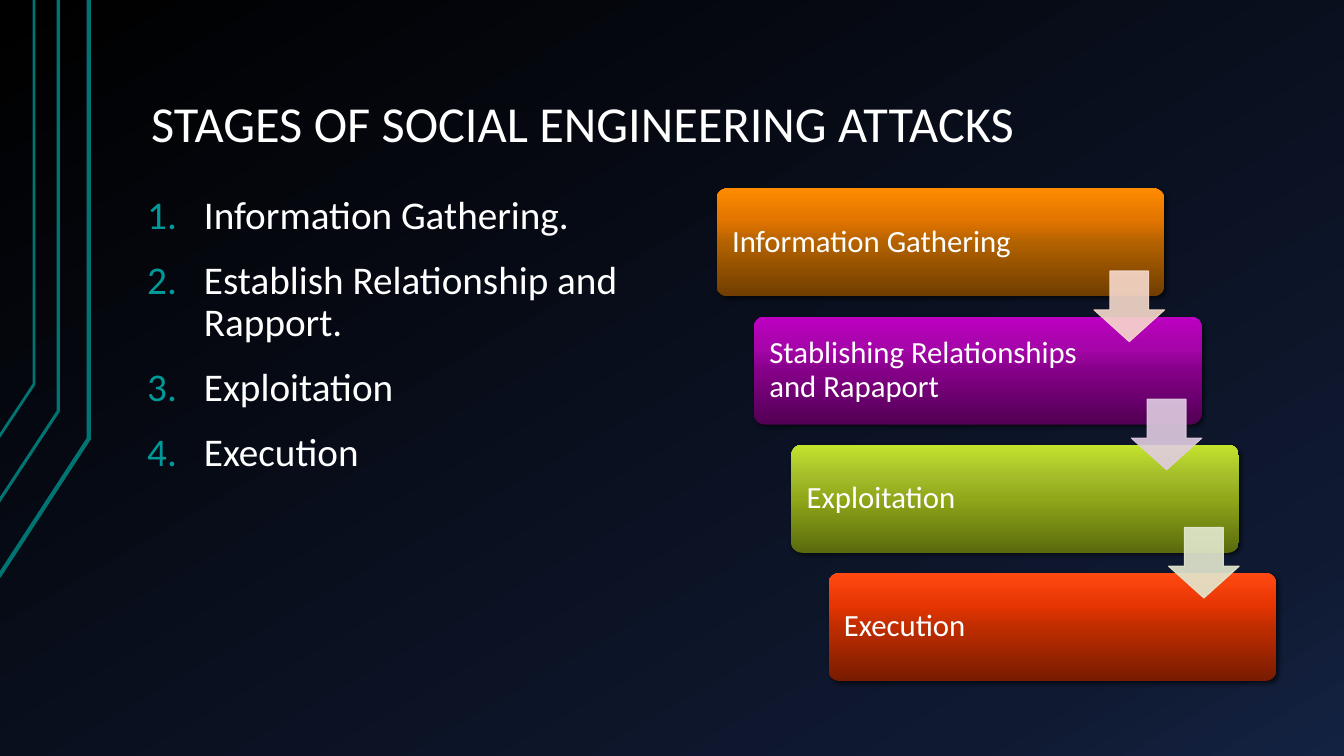
from dataclasses import dataclass
from lxml import etree
from pptx import Presentation
from pptx.dml.color import RGBColor
from pptx.enum import shapes, text
from pptx.oxml import ns
from pptx.util import Cm, Pt


@dataclass(frozen=True)
class Theme:
    font: str = "Calibri"
    ink: str = "FFFFFF"
    trace: str = "007373"
    number: str = "009999"
    shade: str = "000000"
    title: int = 36
    body: int = 28
    label: int = 22
    back: tuple = ((0, "000000"), (85, "0F1931"), (100, "142242"))


@dataclass(frozen=True)
class Stage:
    label: str
    tones: tuple
    arrow: str = ""


@dataclass(frozen=True)
class Trace:
    points: tuple
    width: float


THEME = Theme()
TITLE = "STAGES OF SOCIAL ENGINEERING ATTACKS"
ITEMS = ("Information Gathering.", "Establish Relationship and Rapport.",
         "Exploitation", "Execution")
STOPS = (0, 50, 70, 100)
STAGES = (
    Stage("Information Gathering", ("6F3D00", "B36200", "E27400", "FE8B00"), "F7DACC"),
    Stage("Stablishing Relationships and Rapaport",
          ("520054", "850088", "A505A9", "BC00C0"), "E0CCE1"),
    Stage("Exploitation", ("5A6A0D", "8FA719", "A3BC2A", "C4E32D"), "E3E9D0"),
    Stage("Execution", ("771C00", "C02D00", "E63503", "FF4911")),
)
TRACES = (
    Trace(((-0.03, 14.53), (2.24, 11.05), (2.24, 0)), 3),
    Trace(((-0.05, 12.67), (1.47, 10.36), (1.47, 0)), 2.25),
    Trace(((-0.03, 11.02), (0.86, 9.68), (0.86, 0)), 2),
)
STEP_X, STEP_Y = 0.94, 3.23


def node(parent, tag: str, **attrs):
    return etree.SubElement(parent, ns.qn(tag), attrs)


def tint(parent, color: str, alpha: int) -> None:
    """Append a translucent colour to an XML parent."""
    node(node(parent, "a:srgbClr", val=color), "a:alpha", val=str(alpha * 1000))


def grade(fill, root, stops, angle: int) -> None:
    """Give the fill under root a gradient, its angle counted anticlockwise."""
    fill.gradient()
    fill.gradient_angle = angle
    group = next(root.iter(ns.qn("a:gsLst")))
    for old in list(group):
        group.remove(old)
    for place, color in stops:
        stop = node(group, "a:gs", pos=str(place * 1000))
        node(stop, "a:srgbClr", val=color)


def style(frame, size: int, anchor, pad_x: float, pad_y: float) -> None:
    frame.word_wrap = True
    frame.auto_size = text.MSO_AUTO_SIZE.NONE
    frame.vertical_anchor = anchor
    frame.margin_left = frame.margin_right = Cm(pad_x)
    frame.margin_top = frame.margin_bottom = Cm(pad_y)
    for para in frame.paragraphs:
        para.alignment = text.PP_ALIGN.LEFT
        para.line_spacing = 0.9
        for run in para.runs:
            run.font.name = THEME.font
            run.font.size = Pt(size)
            run.font.color.rgb = RGBColor.from_string(THEME.ink)


def place(shape, left: float, top: float, width: float, height: float) -> None:
    shape.left, shape.top = Cm(left), Cm(top)
    shape.width, shape.height = Cm(width), Cm(height)


def count(para) -> None:
    """Number the paragraph, with a hanging indent."""
    para.space_before = Pt(16)
    props = para._p.get_or_add_pPr()
    props.set("marL", str(Cm(1.43)))
    props.set("indent", str(Cm(-1.43)))
    node(node(props, "a:buClr"), "a:srgbClr", val=THEME.number)
    node(props, "a:buFont", typeface="+mj-lt")
    node(props, "a:buAutoNum", type="arabicPeriod")


def draw_trace(slide, trace: Trace) -> None:
    start, *rest = [(Cm(x), Cm(y)) for x, y in trace.points]
    pen = slide.shapes.build_freeform(*start)
    pen.add_line_segments(rest, close=False)
    shape = pen.convert_to_shape()
    shape.shadow.inherit = False
    shape.fill.background()
    shape.line.color.rgb = RGBColor.from_string(THEME.trace)
    shape.line.width = Pt(trace.width)


def draw_card(slide, stage: Stage, row: int) -> None:
    card = slide.shapes.add_shape(
        shapes.MSO_SHAPE.ROUNDED_RECTANGLE, Cm(18.06 + row * STEP_X),
        Cm(4.75 + row * STEP_Y), Cm(11.28), Cm(2.72))
    card.adjustments[0] = 0.1
    grade(card.fill, card._element.spPr, zip(STOPS, stage.tones), 90)
    card.line.fill.background()
    card.shadow.inherit = False
    effects = card._element.spPr.find(ns.qn("a:effectLst"))
    glow = node(effects, "a:outerShdw", blurRad=str(Pt(3)), dist=str(Pt(2)),
                dir=str(45 * 60000), rotWithShape="0")
    tint(glow, THEME.shade, 60)
    frame = card.text_frame
    frame.text = stage.label
    style(frame, THEME.label, text.MSO_ANCHOR.MIDDLE, 0.31, 0.31)
    frame.margin_right = Cm(2.9)


def draw_arrow(slide, color: str, row: int) -> None:
    arrow = slide.shapes.add_shape(
        shapes.MSO_SHAPE.DOWN_ARROW, Cm(27.57 + row * STEP_X),
        Cm(6.83 + row * STEP_Y), Cm(1.78), Cm(1.78))
    arrow.adjustments[0], arrow.adjustments[1] = 0.55, 0.45
    arrow.shadow.inherit = False
    arrow.line.width = Pt(0.75)
    for fill in (arrow.fill, arrow.line.fill):
        fill.solid()
        fill.fore_color.rgb = RGBColor.from_string(color)
    for solid in arrow._element.spPr.iter(ns.qn("a:solidFill")):
        solid.clear()
        tint(solid, color, 90)


def main() -> None:
    deck = Presentation()
    deck.slide_width, deck.slide_height = Cm(33.87), Cm(19.05)
    slide = deck.slides.add_slide(deck.slide_layouts[1])
    grade(slide.background.fill, slide._element, THEME.back, 300)

    for trace in TRACES:
        draw_trace(slide, trace)

    title, body = slide.placeholders
    place(title, 3.48, 0.64, 28.78, 3.4)
    title.text_frame.text = TITLE
    style(title.text_frame, THEME.title, text.MSO_ANCHOR.BOTTOM, 0.33, 0.18)

    place(body, 3.38, 4.75, 14.1, 12.4)
    body.text_frame.text = "\n".join(ITEMS)
    style(body.text_frame, THEME.body, text.MSO_ANCHOR.TOP, 0.33, 0.18)
    for para in body.text_frame.paragraphs:
        count(para)

    for row, stage in enumerate(STAGES):
        draw_card(slide, stage, row)
    for row, stage in enumerate(STAGES):
        if stage.arrow:
            draw_arrow(slide, stage.arrow, row)
    deck.save("out.pptx")


if __name__ == "__main__":
    main()
